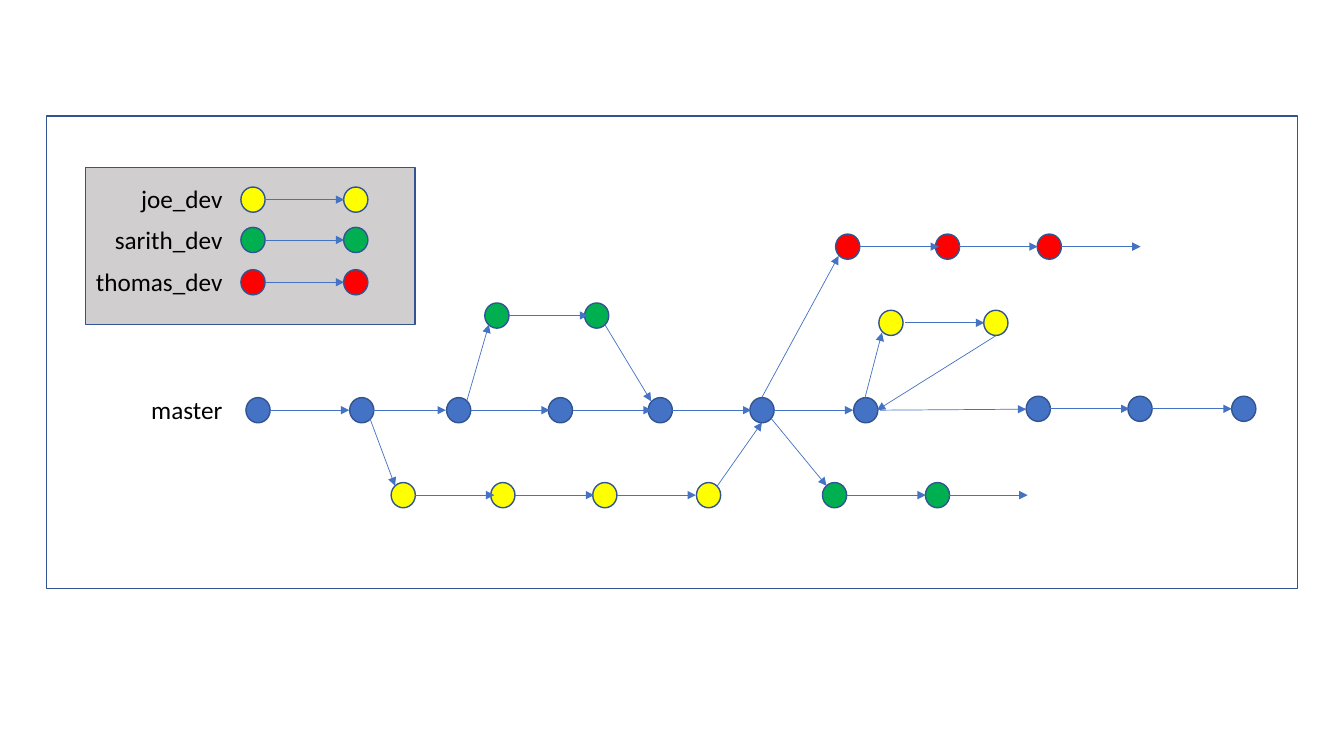
from lxml import etree
from pptx import Presentation
from pptx.dml.color import RGBColor
from pptx.enum import shapes, text
from pptx.oxml import ns
from pptx.util import Pt

BLUE, YELLOW, GREEN, RED = "4472C4", "FFFF00", "00B050", "FF0000"
EDGE, GREY, BLACK = "325491", "D0CECE", "000000"


def paint(fmt, hue):
    fmt.solid()
    fmt.fore_color.rgb = RGBColor.from_string(hue)


class Graph:
    """Style and current slide of a branch diagram; lengths in points."""
    wide, high, step = 17.3, 18, 56.5
    font, size = "Calibri", 18

    def __init__(self, slide):
        self.shapes = slide.shapes

    def shape(self, kind, x, y, w, h, fill=None):
        item = self.shapes.add_shape(kind, Pt(x), Pt(y), Pt(w), Pt(h))
        item.shadow.inherit = False
        if fill:
            paint(item.fill, fill)
        else:
            item.fill.background()
        paint(item.line.fill, EDGE)
        item.line.width = Pt(1)

    def box(self, x, y, w, h, fill=None):
        self.shape(shapes.MSO_SHAPE.RECTANGLE, x, y, w, h, fill)

    def dot(self, x, y, fill):
        """Draw a commit with left edge x and centre height y."""
        self.shape(shapes.MSO_SHAPE.OVAL, x, y - self.high / 2,
                   self.wide, self.high, fill)

    def arrow(self, x1, y1, x2, y2):
        line = self.shapes.add_connector(
            shapes.MSO_CONNECTOR.STRAIGHT, Pt(x1), Pt(y1), Pt(x2), Pt(y2))
        paint(line.line.fill, BLUE)
        line.line.width = Pt(0.5)
        props = line._element.spPr
        etree.SubElement(props.find(ns.qn("a:ln")), ns.qn("a:tailEnd"),
                         type="triangle")
        etree.SubElement(props, ns.qn("a:effectLst"))

    def lane(self, fill, y, dots, starts):
        """Draw commits, then an equally long arrow from each start."""
        for x in dots:
            self.dot(x, y, fill)
        for x in starts:
            self.arrow(x, y, x + self.step, y)

    def label(self, words, y):
        """Write a branch name, right aligned, on the row centred at y."""
        item = self.shapes.add_textbox(Pt(60), Pt(y - 15), Pt(106), Pt(29))
        frame = item.text_frame
        frame.word_wrap = True
        frame.text = words
        para = frame.paragraphs[0]
        para.alignment = text.PP_ALIGN.RIGHT
        para.font.name, para.font.size = self.font, Pt(self.size)
        paint(para.font.fill, BLACK)


LEGEND = [("joe_dev", YELLOW, 142.6), ("sarith_dev", GREEN, 171.4),
          ("thomas_dev", RED, 201.6)]

# colour, centre height, left edges of commits, starts of arrows
LANES = [
    (BLUE, 293, [175.7, 249.8, 319, 391.7, 463, 535.7, 609.8],
     [193, 262, 336.2, 409, 480.2, 553]),
    (BLUE, 292, [733, 805.7, 879.8], [750.2]),
    (YELLOW, 353.7, [279.4, 350.6, 423.4, 497.5], [296.6, 367.9, 440.6]),
    (GREEN, 225.4, [346.3, 417.6], [363.6]),
    (RED, 176.2, [596.9, 668.2, 740.9], [614.2, 684.7, 758.2]),
    (GREEN, 353.7, [587.5, 661], [604.8, 677.5]),
    (YELLOW, 230.6, [627.8, 702.7], [646.6]),
]

LINKS = [
    (628.6, 293, 733, 292.3), (746, 292, 879.8, 292),  # long master arrows
    (264.2, 298.8, 282.2, 347), (511.9, 347.8, 544.3, 301.7),
    (333.4, 286.6, 349.2, 231.8), (432, 231.8, 465.1, 286.6),
    (544.3, 283.7, 599, 182.9), (550.8, 298.8, 590.4, 347),
    (617.8, 284.4, 630, 237.6), (711.4, 239.8, 626.4, 293),
]


def main():
    deck = Presentation()
    deck.slide_width, deck.slide_height = Pt(960), Pt(540)
    graph = Graph(deck.slides.add_slide(deck.slide_layouts[6]))
    graph.box(61.2, 119.5, 235.4, 112.3, GREY)
    for name, fill, y in LEGEND:
        graph.label(name, y)
        graph.lane(fill, y, [172.1, 245.5], [189.4])
    graph.label("master", 293)
    for lane in LANES:
        graph.lane(*lane)
    for link in LINKS:
        graph.arrow(*link)
    graph.box(33.1, 82.8, 893.5, 337.7)
    deck.save("out.pptx")


if __name__ == "__main__":
    main()
